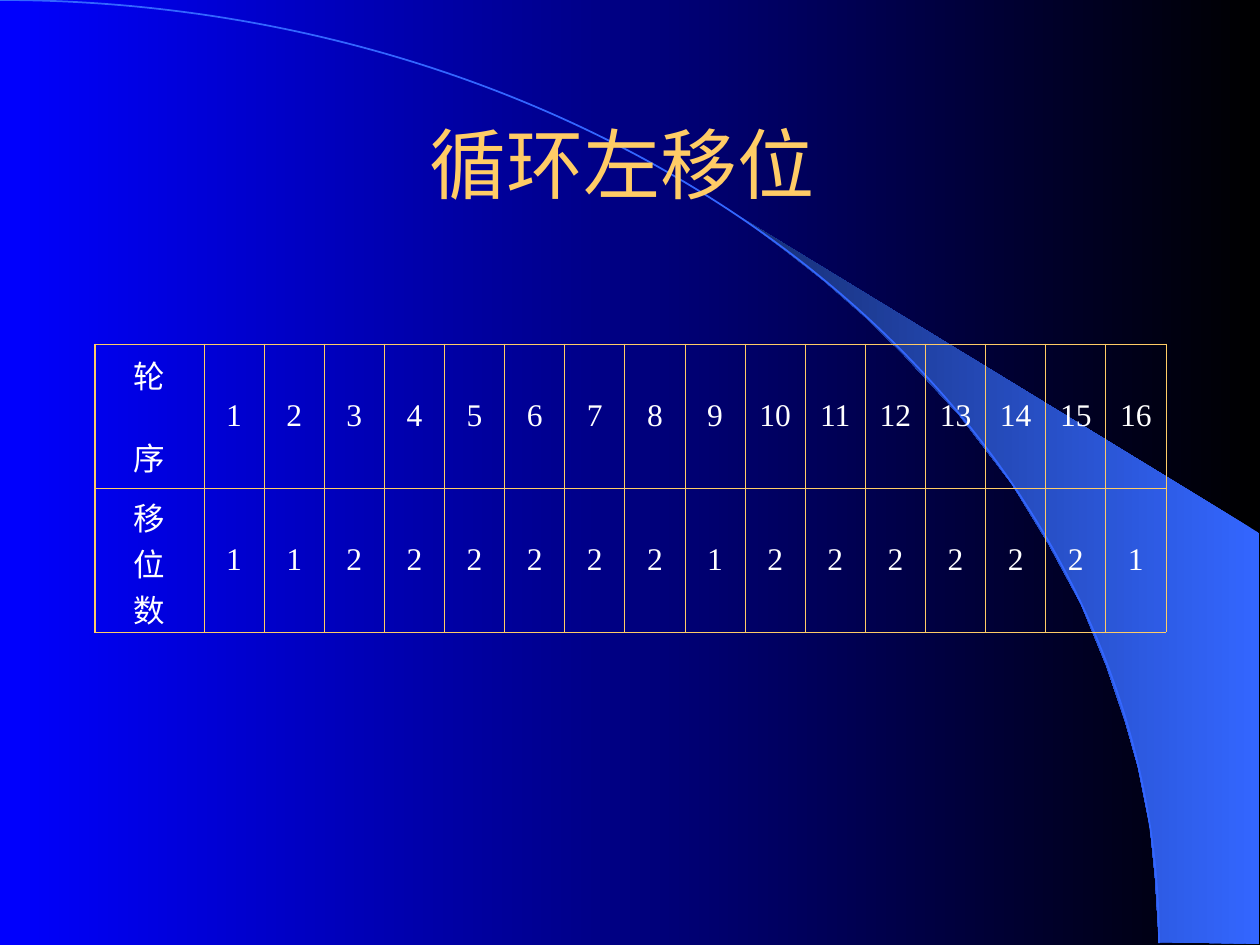
from pptx import Presentation
from pptx.dml.color import RGBColor
from pptx.enum.shapes import MSO_SHAPE
from pptx.enum.text import MSO_ANCHOR, PP_ALIGN
from pptx.oxml import parse_xml
from pptx.oxml.ns import nsdecls
from pptx.util import Pt

PX = 914400 / 126
CENTER = PP_ALIGN.CENTER
MIDDLE = MSO_ANCHOR.MIDDLE
ARC = MSO_SHAPE.ARC

BLACK = RGBColor(0x00, 0x00, 0x00)
BLUE = RGBColor(0x00, 0x00, 0xFF)
SKY = RGBColor(0x33, 0x66, 0xFF)
NAVY = RGBColor(0x17, 0x2F, 0x75)
GOLD = RGBColor(0xFF, 0xCC, 0x66)
WHITE = RGBColor(0xFF, 0xFF, 0xFF)

WEDGE = [
    (1159, 942), (1259, 944), (1259, 533), (742, 218), (786, 251), (823, 280),
    (863, 315), (902, 353), (960, 416), (1012, 484), (1048, 543), (1081, 604),
    (1106, 665), (1125, 721), (1138, 767), (1150, 827), (1155, 877),
]
ROUNDS = range(1, 17)
SINGLE_SHIFT_ROUNDS = {1, 2, 9, 16}
SHIFTS = [1 if number in SINGLE_SHIFT_ROUNDS else 2 for number in ROUNDS]


def emu(px):
    return round(px * PX)


def fill_gradient(fill, right, left):
    fill.gradient()
    fill.gradient_angle = 180
    for stop, color in zip(fill.gradient_stops, (right, left)):
        stop.color.rgb = color


class SlideBuilder:
    title_font = "Comic Neue"
    table_font = "Times New Roman"

    def __init__(self, slide):
        self.slide = slide
        self.shapes = slide.shapes

    def background(self, right, left):
        fill_gradient(self.slide.background.fill, right, left)

    def wedge(self, points, right, left):
        builder = self.shapes.build_freeform(*points[0], scale=PX)
        builder.add_line_segments(points[1:], close=True)
        shape = builder.convert_to_shape()
        shape.shadow.inherit = False
        fill_gradient(shape.fill, right, left)
        shape.line.fill.background()

    def arc(self, left, top, width, height, color):
        shape = self.shapes.add_shape(ARC, *map(emu, (left, top, width, height)))
        shape.shadow.inherit = False
        shape.fill.background()
        shape.line.color.rgb = color
        shape.line.width = Pt(1)

    def set_text(self, para, text, font, size, color):
        para.text = text
        para.alignment = CENTER
        para.font.name = font
        para.font.size = Pt(size)
        para.font.color.rgb = color

    def title(self, left, top, width, height, text):
        box = self.shapes.add_textbox(*map(emu, (left, top, width, height)))
        frame = box.text_frame
        frame.word_wrap = True
        frame.vertical_anchor = MIDDLE
        self.set_text(frame.paragraphs[0], text, self.title_font, 44, GOLD)

    def cell(self, cell, lines, gap, left_border):
        """Fill one cell with a paragraph per line, gap points apart."""
        frame = cell.text_frame
        for index, line in enumerate(lines):
            para = frame.add_paragraph() if index else frame.paragraphs[0]
            self.set_text(para, line, self.table_font, 18, WHITE)
            if index and gap:
                para.space_before = Pt(gap)
        cell.vertical_anchor = MIDDLE
        properties = cell._tc.get_or_add_tcPr()
        for side in "LRTB":
            width = Pt(left_border if side == "L" else 0.45)
            properties.append(parse_xml(
                f'<a:ln{side} {nsdecls("a")} w="{width}"><a:solidFill>'
                f'<a:srgbClr val="{GOLD}"/></a:solidFill></a:ln{side}>'))
        cell.fill.background()

    def table(self, left, top, label_width, width, row_height, rows):
        """Each row is (label lines, label gap, values)."""
        count = len(rows[0][2])
        frame = self.shapes.add_table(
            len(rows), count + 1, emu(left), emu(top), emu(width),
            emu(row_height * len(rows)))
        table = frame.table
        table.first_row = table.horz_banding = False
        value_width = (width - label_width) / count
        for index, column in enumerate(table.columns):
            column.width = emu(value_width if index else label_width)
        for row_index, (label, gap, values) in enumerate(rows):
            table.rows[row_index].height = emu(row_height)
            self.cell(table.cell(row_index, 0), label, gap, 0.75)
            for index, value in enumerate(values, 1):
                self.cell(table.cell(row_index, index), [str(value)], 0, 0.45)


def main():
    deck = Presentation()
    deck.slide_width, deck.slide_height = emu(1260), emu(945)
    page = SlideBuilder(deck.slides.add_slide(deck.slide_layouts[6]))
    page.background(BLACK, BLUE)
    page.wedge(WEDGE, SKY, NAVY)
    page.arc(-1159, 0, 2318, 1886, SKY)
    page.title(95, 84, 1071, 158, "循环左移位 ")
    page.table(95, 344, 109, 1071, 144,
               [("轮序", 21, ROUNDS), ("移位数", 0, SHIFTS)])
    deck.save("out.pptx")


if __name__ == "__main__":
    main()
